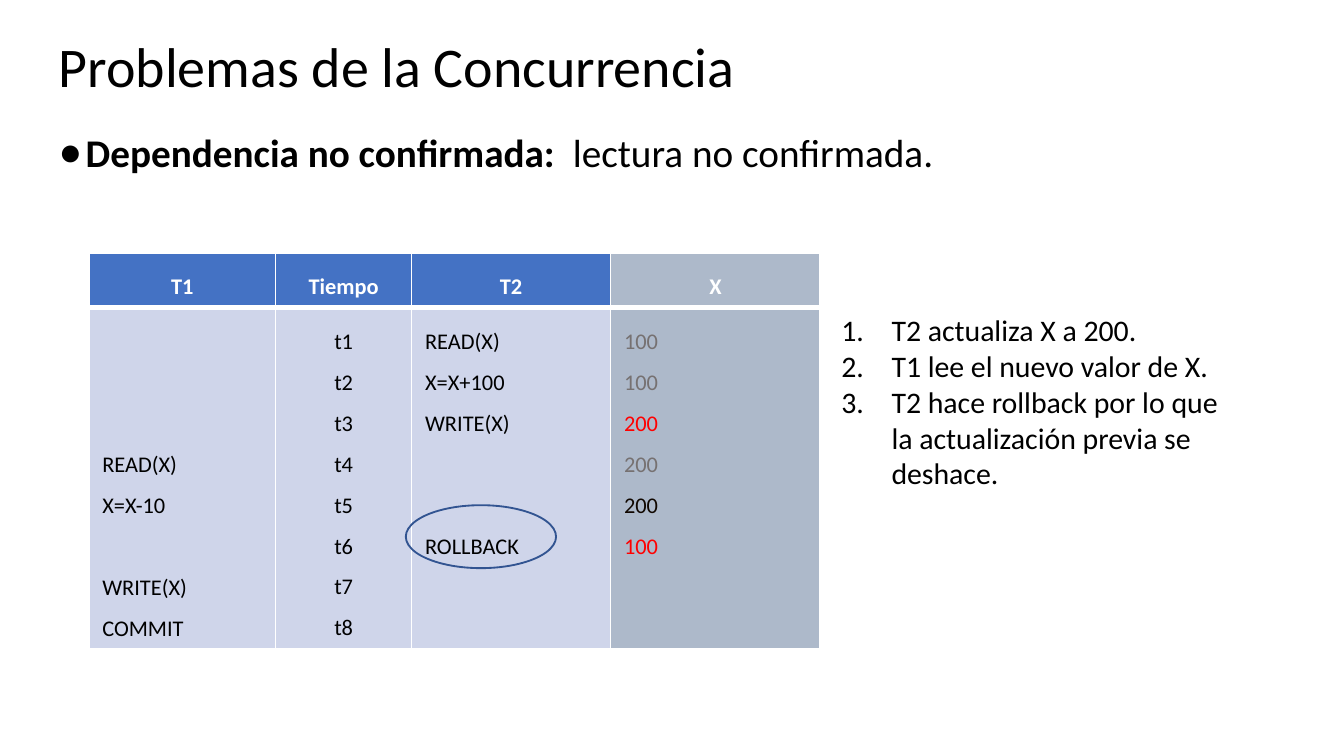
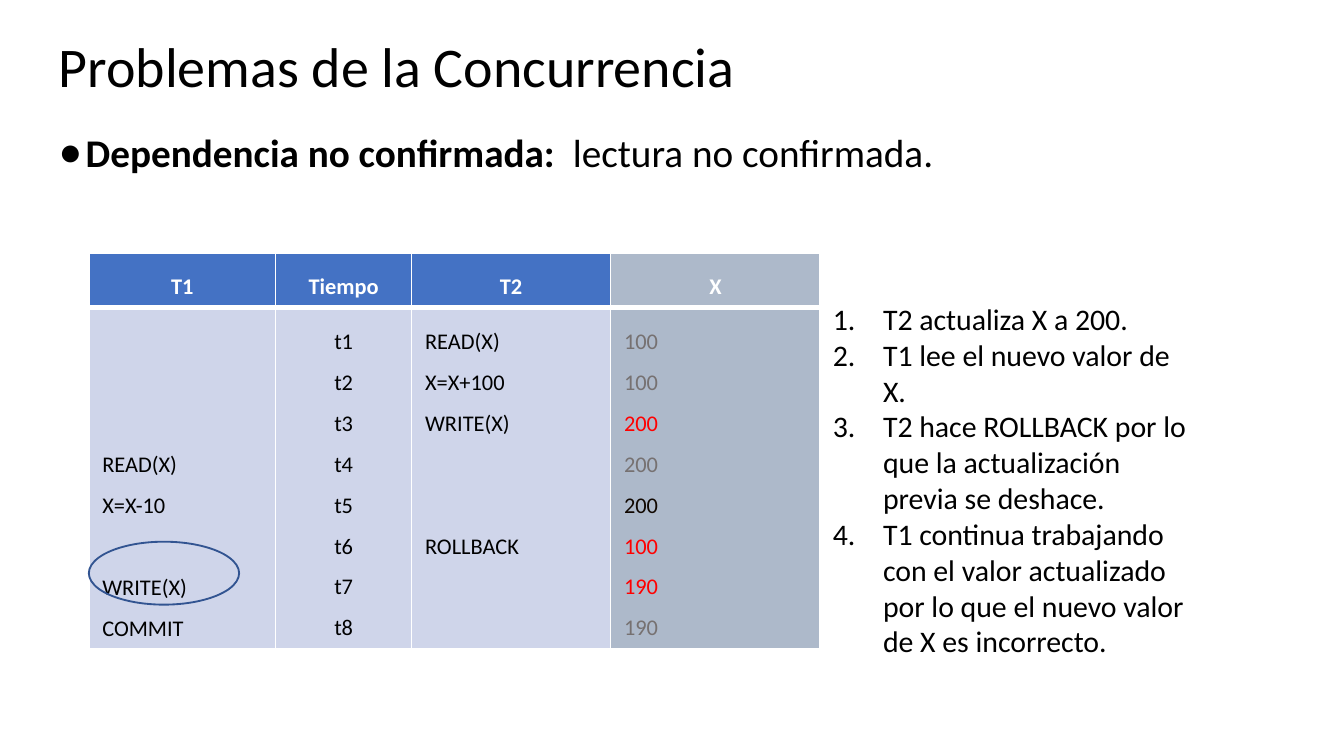
from lxml.etree import SubElement
from pptx import Presentation
from pptx.dml.color import RGBColor
from pptx.enum.shapes import MSO_SHAPE
from pptx.enum.text import MSO_ANCHOR, MSO_AUTO_SIZE, PP_ALIGN
from pptx.oxml.ns import qn
from pptx.util import Cm, Pt

BLACK = RGBColor(0x00, 0x00, 0x00)
WHITE = RGBColor(0xFF, 0xFF, 0xFF)
BLUE = RGBColor(0x44, 0x72, 0xC4)
PALE_BLUE = RGBColor(0xCF, 0xD5, 0xEA)
STEEL = RGBColor(0xAD, 0xB9, 0xCA)
OUTLINE = RGBColor(0x32, 0x54, 0x91)
GREY = RGBColor(0x76, 0x71, 0x71)
RED = RGBColor(0xFF, 0x00, 0x00)
INK = RGBColor(0x10, 0x07, 0x00)

TITLE = "Problemas de la Concurrencia"
TOPIC = [("Dependencia no confirmada: ", True), (" lectura no confirmada.", False)]

HEADINGS = ["T1", "Tiempo", "T2", "X"]
T1_STEPS = {4: "READ(X)", 5: "X=X-10", 7: "WRITE(X)", 8: "COMMIT"}
TIMES = {slot: f"t{slot}" for slot in range(1, 9)}
T2_STEPS = {1: "READ(X)", 2: "X=X+100", 3: "WRITE(X)", 6: "ROLLBACK"}
X_VALUES = [("100", GREY), ("100", GREY), ("200", RED), ("200", GREY),
            ("200", INK), ("100", RED)]

SLIDES = [
    {
        "x_values": X_VALUES,
        "notes": [
            "T2 actualiza X a 200.",
            "T1 lee el nuevo valor de X.",
            "T2 hace rollback por lo que la actualización previa se deshace.",
        ],
        "notes_box": (15.65, 5.77, 7.82, 3.68),
        "ring_corner": (7.67, 9.55),
    },
    {
        "x_values": X_VALUES + [("190", RED), ("190", GREY)],
        "notes": [
            "T2 actualiza X a 200.",
            "T1 lee el nuevo valor de X.",
            "T2 hace ROLLBACK por lo que la actualización previa se deshace.",
            "T1 continua trabajando con el valor actualizado por lo que el nuevo "
            "valor de X es incorrecto.",
        ],
        "notes_box": (15.49, 5.56, 7.42, 7.09),
        "ring_corner": (1.68, 10.24),
    },
]

TITLE_BOX = (0.86, 0.43, 23.67, 1.75)
TOPIC_BOX = (0.86, 2.18, 23.67, 10.49)
TABLE_BOX = (1.68, 4.78, 13.82, 6.12)
COLUMN_WIDTHS = [3.53, 2.57, 3.76, 3.96]
ROW_HEIGHTS = [0.89, 5.23]
RING_SIZE = (2.84, 1.19)
SLOT_HEIGHT = Pt(22)
CELL_TOP = Cm(0.13)

TITLE_FONT = {"name": "Calibri", "size": Pt(30), "bold": False}
TOPIC_FONT = {"name": "Calibri", "size": Pt(21)}
HEADING_FONT = {"name": "Calibri", "size": Pt(12), "bold": True}
STEP_FONT = {"name": "Calibri", "size": Pt(12), "bold": False}
NOTE_FONT = {"name": "Calibri", "size": Pt(16)}
FRAME_FORMAT = {
    "word_wrap": True, "auto_size": MSO_AUTO_SIZE.NONE,
    "margin_left": Cm(0.25), "margin_right": Cm(0.25),
    "margin_top": Cm(0.25), "margin_bottom": Cm(0.25),
}


def apply(target, values):
    for attribute, value in values.items():
        setattr(target, attribute, value)


def place(shape, box):
    apply(shape, dict(zip(("left", "top", "width", "height"), map(Cm, box))))


def write(paragraph, text, font, color=BLACK):
    run = paragraph.add_run()
    run.text = text
    apply(run.font, font)
    run.font.color.rgb = color


def set_bullet(paragraph, indent, tag, **values):
    properties = paragraph._p.get_or_add_pPr()
    properties.set("marL", str(Cm(indent)))
    properties.set("indent", str(-Cm(indent)))
    SubElement(properties, qn(f"a:{tag}"), values)


def set_borders(cell, widths):
    properties = cell._tc.get_or_add_tcPr()
    for position, (side, width) in enumerate(widths.items()):
        line = properties.makeelement(qn(f"a:ln{side}"), {"w": str(Pt(width))})
        fill = SubElement(line, qn("a:solidFill"))
        SubElement(fill, qn("a:srgbClr"), val=str(WHITE))
        properties.insert(position, line)


def fill_cell(cell, entries, font, align, fill):
    cell.fill.solid()
    cell.fill.fore_color.rgb = fill
    previous = 0
    for slot, (text, color) in entries.items():
        skipped = (slot - previous - 1) * SLOT_HEIGHT
        if previous:
            paragraph = cell.text_frame.add_paragraph()
            paragraph.space_before = skipped
        else:
            paragraph = cell.text_frame.paragraphs[0]
            cell.margin_top = CELL_TOP + skipped
        apply(paragraph, {"alignment": align, "line_spacing": 1.5})
        write(paragraph, text, font, color)
        previous = slot


def add_heading(slide):
    title, topic = slide.shapes.title, slide.placeholders[1]
    for placeholder, box, anchor in ((title, TITLE_BOX, MSO_ANCHOR.MIDDLE),
                                     (topic, TOPIC_BOX, MSO_ANCHOR.TOP)):
        place(placeholder, box)
        apply(placeholder.text_frame, FRAME_FORMAT | {"vertical_anchor": anchor})

    heading = title.text_frame.paragraphs[0]
    apply(heading, {"alignment": PP_ALIGN.LEFT, "line_spacing": 0.9})
    write(heading, TITLE, TITLE_FONT)

    statement = topic.text_frame.paragraphs[0]
    statement.space_before = Pt(0)
    set_bullet(statement, 0.51, "buChar", char="●")
    for text, bold in TOPIC:
        write(statement, text, TOPIC_FONT | {"bold": bold})


def add_schedule(slide, x_values):
    schedule = slide.shapes.add_table(2, 4, *map(Cm, TABLE_BOX)).table
    for column, width in zip(schedule.columns, COLUMN_WIDTHS):
        column.width = Cm(width)
    for row, height in zip(schedule.rows, ROW_HEIGHTS):
        row.height = Cm(height)

    columns = [{slot: (text, BLACK) for slot, text in steps.items()}
               for steps in (T1_STEPS, TIMES, T2_STEPS)]
    columns.append(dict(enumerate(x_values, 1)))
    for index, (heading, entries) in enumerate(zip(HEADINGS, columns)):
        is_x = heading == "X"
        align = PP_ALIGN.CENTER if heading == "Tiempo" else PP_ALIGN.LEFT
        top, bottom = schedule.cell(0, index), schedule.cell(1, index)
        fill_cell(top, {1: (heading, WHITE)}, HEADING_FONT, PP_ALIGN.CENTER,
                  STEEL if is_x else BLUE)
        fill_cell(bottom, entries, STEP_FONT, align, STEEL if is_x else PALE_BLUE)
        set_borders(top, {"L": 1, "R": 1, "T": 1, "B": 3})
        set_borders(bottom, {"L": 1, "R": 1, "T": 3, "B": 1})


def add_notes(slide, notes, box):
    frame = slide.shapes.add_textbox(*map(Cm, box)).text_frame
    apply(frame, {"word_wrap": True, "auto_size": MSO_AUTO_SIZE.SHAPE_TO_FIT_TEXT})
    for index, note in enumerate(notes):
        paragraph = frame.add_paragraph() if index else frame.paragraphs[0]
        set_bullet(paragraph, 0.95, "buAutoNum", type="arabicPeriod")
        write(paragraph, note, NOTE_FONT)


def add_ring(slide, corner):
    ring = slide.shapes.add_shape(MSO_SHAPE.OVAL, *map(Cm, corner + RING_SIZE))
    ring.shadow.inherit = False
    ring.fill.background()
    ring.line.color.rgb = OUTLINE
    ring.line.width = Pt(1)


def main():
    deck = Presentation()
    apply(deck, {"slide_width": Cm(25.4), "slide_height": Cm(14.29)})
    for content in SLIDES:
        slide = deck.slides.add_slide(deck.slide_layouts[1])
        add_heading(slide)
        add_schedule(slide, content["x_values"])
        add_notes(slide, content["notes"], content["notes_box"])
        add_ring(slide, content["ring_corner"])
    deck.save("out.pptx")


if __name__ == "__main__":
    main()
